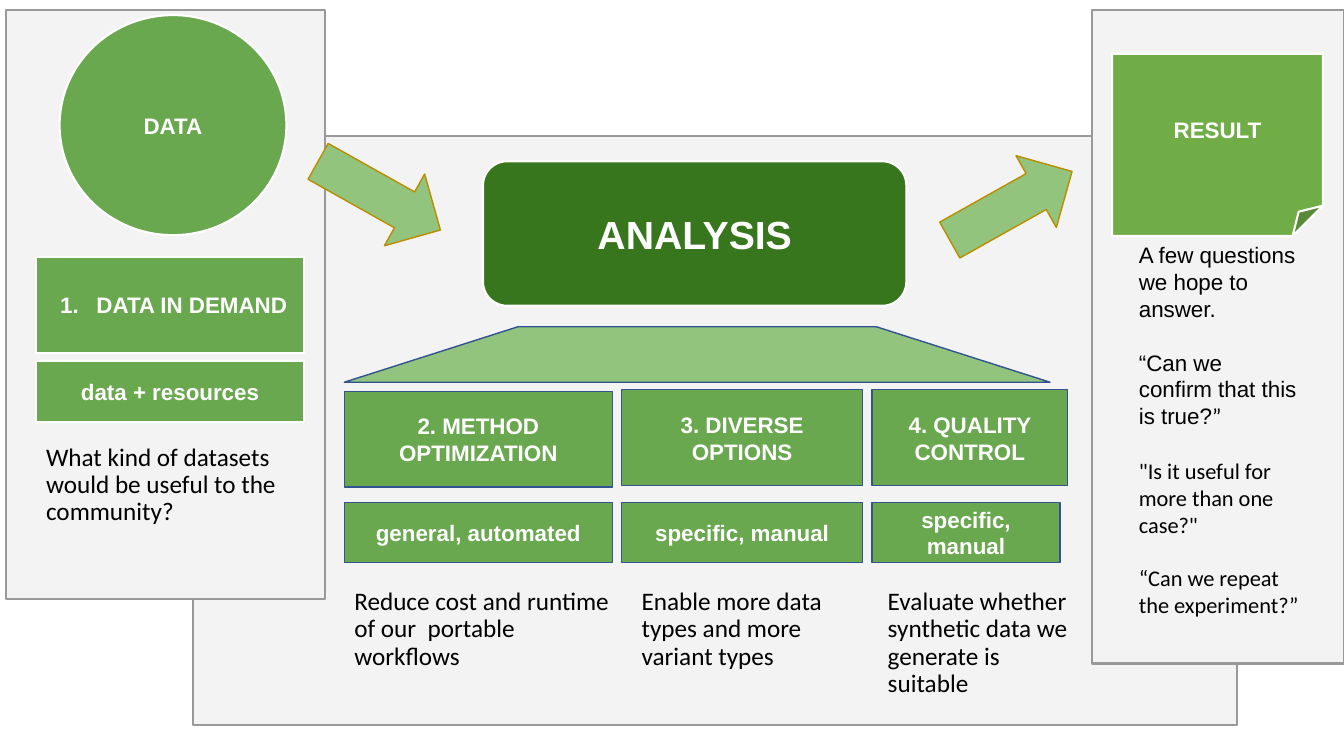
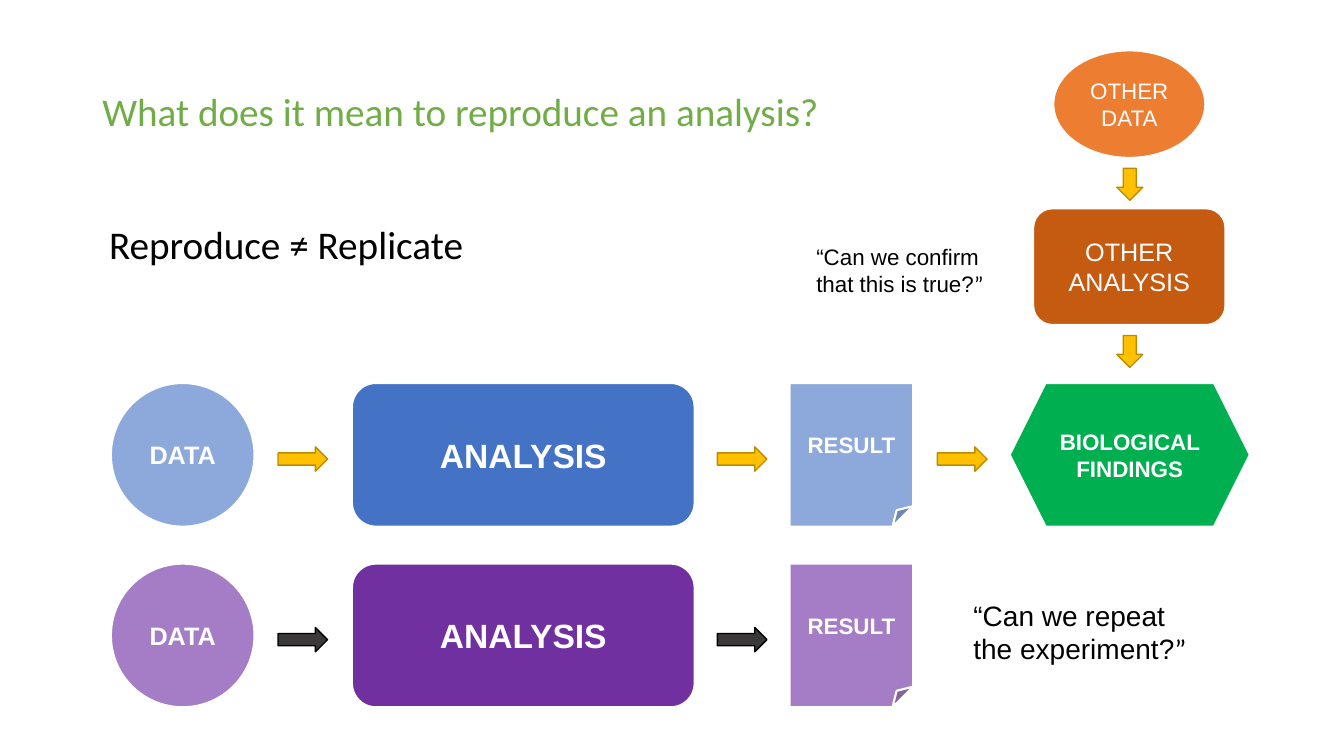
import pptx
import pptx.dml.color
import pptx.enum.shapes
import pptx.enum.text
import pptx.oxml.ns
import pptx.util
from lxml import etree

KIND = pptx.enum.shapes.MSO_SHAPE
ALIGN = pptx.enum.text.PP_ALIGN
ANCHOR = pptx.enum.text.MSO_ANCHOR

WIDTH, HEIGHT = pptx.util.Inches(13.33), pptx.util.Inches(7.5)
COLUMNS, ROWS = 160, 90

WHITE, BLACK = "FFFFFF", "000000"
PANEL, PANEL_EDGE = "F3F3F3", "999999"
GREEN, LEAF, DARK_GREEN, PALE_GREEN = "6AA84F", "70AD47", "38761D", "93C47D"
NAVY, GOLD, GOLD_EDGE, CHARCOAL = "31538F", "FFC000", "BA8C00", "3A3838"
TOP_ROW, BOTTOM_ROW = 45.6, 67.1


def color(value):
    """Turn a hex string into a colour."""
    return pptx.dml.color.RGBColor.from_string(value)


def place(left, top, width, height):
    """Turn grid columns and rows into slide lengths."""
    column, row = WIDTH / COLUMNS, HEIGHT / ROWS
    return [round(length) for length in (left * column, top * row, width * column, height * row)]


def write(frame, paragraphs, size, font="Arial", ink=WHITE, bold=False,
          align=ALIGN.LEFT, spacing=None, gap=0):
    """Fill a text frame; closing quotation marks are set in Calibri."""
    frame.word_wrap = True
    for index, text in enumerate(paragraphs):
        para = frame.paragraphs[0] if index == 0 else frame.add_paragraph()
        para.alignment = align
        para.font.name = font
        para.font.size = pptx.util.Pt(size)
        para.font.bold = bold
        para.font.color.rgb = color(ink)
        if spacing:
            para.line_spacing = spacing
        if index and gap:
            para.space_before = pptx.util.Pt(gap)
        body = text.removesuffix("”")
        para.add_run().text = body
        if body != text:
            mark = para.add_run()
            mark.text = "”"
            mark.font.name = "Calibri"


def add_figure(page, kind, box, fill, edge=WHITE, weight=1.5, text=None,
               size=16, bold=True, turn=0):
    """Draw a filled preset shape with optional centred white text."""
    shape = page.shapes.add_shape(kind, *place(*box))
    shape.shadow.inherit = False
    shape.fill.solid()
    shape.fill.fore_color.rgb = color(fill)
    shape.line.color.rgb = color(edge)
    shape.line.width = pptx.util.Pt(weight)
    shape.rotation = turn
    if text:
        shape.text_frame.vertical_anchor = ANCHOR.MIDDLE
        write(shape.text_frame, text.split("\n"), size, bold=bold, align=ALIGN.CENTER)
    return shape


def add_arrow(page, box, fill=GOLD, edge=GOLD_EDGE, turn=0):
    """Draw a block arrow."""
    add_figure(page, KIND.RIGHT_ARROW, box, fill, edge, 1, turn=turn)


def add_text(page, box, paragraphs, size, inset=3.6, anchor=ANCHOR.TOP, **style):
    """Add a wrapped text box."""
    style.setdefault("ink", BLACK)
    frame = page.shapes.add_textbox(*place(*box)).text_frame
    frame.vertical_anchor = anchor
    frame.margin_top = frame.margin_bottom = pptx.util.Pt(inset)
    write(frame, paragraphs, size, **style)


def add_note(page, left, top, width, text):
    """Add the remark below a step."""
    add_text(page, (left, top, width, 16.3), [text], 18, 7.2, font="Calibri", spacing=0.9)


def add_step(page, left, tops, widths, heading, mode, edge=NAVY, weight=1):
    """Draw a step heading with its mode below and return the heading."""
    figures = [
        add_figure(page, KIND.RECTANGLE, (left, top, width, height), GREEN, edge, weight, text)
        for top, width, height, text in zip(tops, widths, (11.4, 7.2), (heading, mode))
    ]
    return figures[0]


def number(para):
    """Turn a paragraph into a numbered item with a hanging indent."""
    para.alignment = ALIGN.LEFT
    properties = para._p.get_or_add_pPr()
    properties.set("marL", str(pptx.util.Inches(0.5)))
    properties.set("indent", str(pptx.util.Inches(-0.36)))
    tag = pptx.oxml.ns.qn
    tint = etree.Element(tag("a:buClr"))
    etree.SubElement(tint, tag("a:srgbClr"), val=WHITE)
    digits = etree.Element(tag("a:buAutoNum"), type="arabicPeriod")
    defaults = properties.find(tag("a:defRPr"))
    defaults.addprevious(tint)
    defaults.addprevious(digits)


def build_overview(page):
    """Lay out the path from data through analysis to result."""
    for box in ((23, 16.2, 124.3, 70.1), (130, 1.2, 30, 77.8), (0.7, 1.2, 38, 70.1)):
        add_figure(page, KIND.RECTANGLE, box, PANEL, PANEL_EDGE)
    add_figure(page, KIND.OVAL, (7.1, 1.8, 27, 26.2), GREEN, text="DATA")
    add_figure(page, KIND.FOLDED_CORNER, (132.4, 6.4, 25.1, 21.7), LEAF, text="RESULT")
    add_figure(page, KIND.ROUNDED_RECTANGLE, (57.5, 19.2, 50.4, 17.2), DARK_GREEN,
               text="ANALYSIS", size=28)
    add_arrow(page, (36.8, 18.4, 16.7, 9.8), PALE_GREEN, turn=29.3)
    add_arrow(page, (112, 19.6, 16.7, 9.8), PALE_GREEN, turn=-29.3)
    roof = add_figure(page, KIND.TRAPEZOID, (41, 38.9, 84, 6.6), PALE_GREEN, NAVY, 1)
    roof.adjustments[0] = 3.13

    demand = add_step(page, 4.3, (30.6, 43), (31.9, 31.9), "DATA IN DEMAND",
                      "data + resources", WHITE, 1.5)
    number(demand.text_frame.paragraphs[0])
    add_step(page, 41, (46.6, 59.8), (31.9, 31.9), "2. METHOD OPTIMIZATION", "general, automated")
    add_step(page, 74, (46.4, 59.8), (28.7, 28.7), "3. DIVERSE OPTIONS", "specific, manual")
    add_step(page, 103.8, (46.4, 59.8), (23.3, 22.4), "4. QUALITY CONTROL", "specific, manual")

    add_note(page, 4.3, 51.7, 29.9, "What kind of datasets would be useful to the community?")
    add_note(page, 41, 68.9, 33, "Reduce cost and runtime of our  portable workflows")
    add_note(page, 75.2, 68.9, 29.9, "Enable more data types and more variant types")
    add_note(page, 104.5, 68.9, 25.4, "Evaluate whether synthetic data we generate is suitable")

    questions = ["A few questions we hope to answer.", "“Can we confirm that this is true?”",
                 "\"Is it useful for more than one case?\"", "“Can we repeat the experiment?”"]
    add_text(page, (134.4, 27.5, 21.7, 27), questions[:2], 16, 7.2, gap=19.3)
    add_text(page, (134.4, 53.2, 21.7, 22), questions[2:], 16, 7.2, font="Calibri", gap=19.3)


def add_experiment(page, top, pale, strong, arrow, arrow_edge):
    """Draw one row running from data through analysis to result."""
    add_figure(page, KIND.OVAL, (13.2, top, 17.1, 17.1), pale, text="DATA", size=18)
    add_figure(page, KIND.ROUNDED_RECTANGLE, (41.9, top, 40.8, 17.1), strong,
               text="ANALYSIS", size=24)
    add_figure(page, KIND.FOLDED_CORNER, (94, top, 14.7, 17.1), pale, text="RESULT")
    for left in (33.1, 85.4):
        add_arrow(page, (left, top + 7.6, 5.9, 2.9), arrow, arrow_edge)


def build_comparison(page):
    """Lay out reproduction against replication."""
    add_text(page, (11, 4.8, 110, 17.4), ["What does it mean to reproduce an analysis?"], 28,
             anchor=ANCHOR.MIDDLE, font="Calibri", ink=LEAF, spacing=0.9)
    add_text(page, (11.8, 25.6, 45, 6.8), ["Reproduce ≠ Replicate"], 28, font="Calibri")

    add_experiment(page, TOP_ROW, "8DA9DB", "4472C4", GOLD, GOLD_EDGE)
    add_experiment(page, BOTTOM_ROW, "A57DC7", "7030A0", CHARCOAL, BLACK)
    add_arrow(page, (111.6, TOP_ROW + 7.6, 5.9, 2.9))
    add_figure(page, KIND.HEXAGON, (120.2, TOP_ROW, 28.6, 17.1), "00B050",
               text="BIOLOGICAL FINDINGS")
    add_text(page, (114.7, 70.6, 31.2, 9.2), ["“Can we repeat", "the experiment?”"], 20)

    add_figure(page, KIND.OVAL, (125.4, 6, 18.1, 12.8), "ED7D31", text="OTHER\nDATA", bold=False)
    add_figure(page, KIND.ROUNDED_RECTANGLE, (123, 24.8, 22.9, 13.9), "C55A11",
               text="OTHER ANALYSIS", size=18, bold=False)
    for top in (20.4, 40.3):
        add_arrow(page, (132.6, top, 3.8, 3.1), turn=90)
    add_text(page, (96, 28.4, 24.1, 7.7), ["“Can we confirm that this is true?”"], 16)


def main():
    """Build and save the deck."""
    deck = pptx.Presentation()
    deck.slide_width, deck.slide_height = WIDTH, HEIGHT
    for build in (build_overview, build_comparison):
        build(deck.slides.add_slide(deck.slide_layouts[6]))
    deck.save("out.pptx")


if __name__ == "__main__":
    main()
